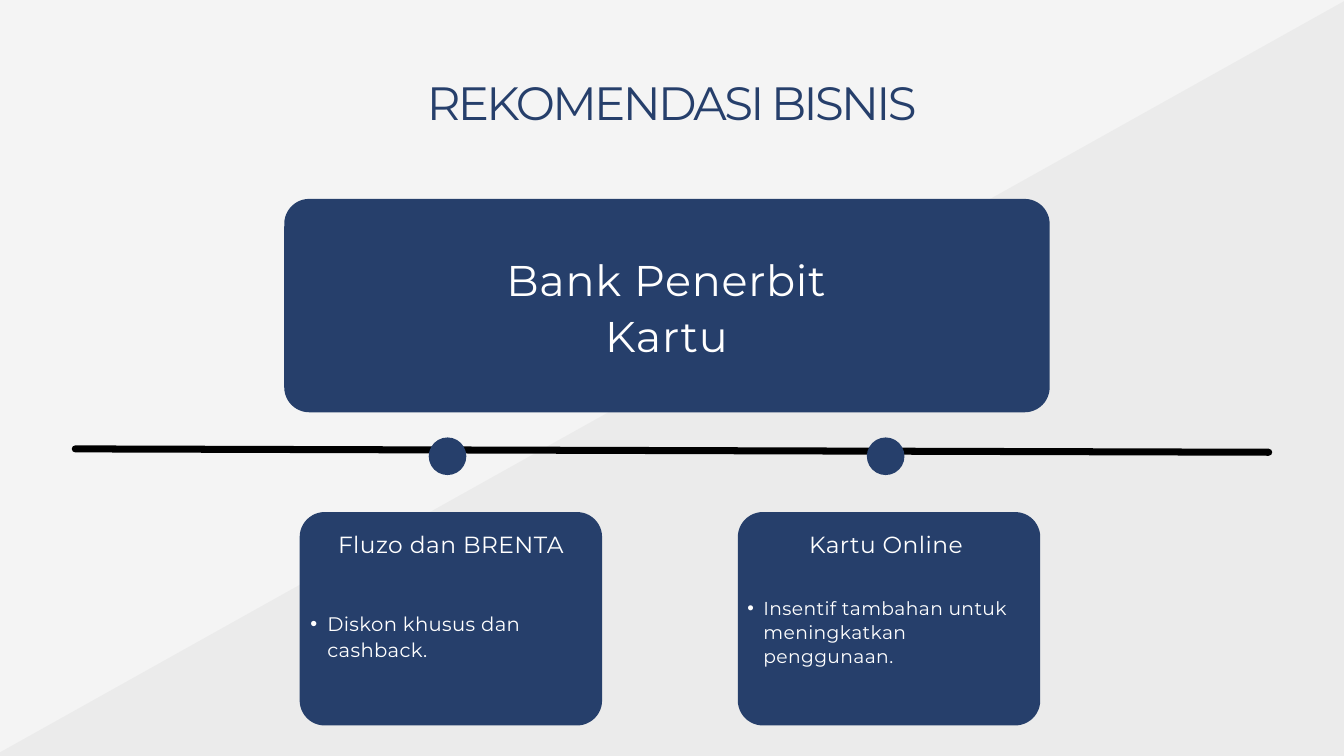
import pptx
import pptx.dml.color
import pptx.enum.shapes
import pptx.enum.text
import pptx.oxml
import pptx.oxml.ns
import pptx.util

NAVY = pptx.dml.color.RGBColor(0x26, 0x3F, 0x6B)
WHITE = pptx.dml.color.RGBColor(0xFF, 0xFF, 0xFF)
BLACK = pptx.dml.color.RGBColor(0x00, 0x00, 0x00)
GREY = pptx.dml.color.RGBColor(0x54, 0x54, 0x54)
PAPER = pptx.dml.color.RGBColor(0xF4, 0xF4, 0xF4)

COLUMNS, ROWS = 80, 45
COMPARISON_LAYOUT = 4
SHAPES = pptx.enum.shapes.MSO_SHAPE
ALIGN = pptx.enum.text.PP_ALIGN
qn = pptx.oxml.ns.qn


class TimelineSlide:
    font = "Montserrat"
    corner = 0.117

    def __init__(self, deck):
        self.column = deck.slide_width / COLUMNS
        self.row = deck.slide_height / ROWS
        self.slide = deck.slides.add_slide(deck.slide_layouts[COMPARISON_LAYOUT])
        self.slide.background.fill.solid()
        self.slide.background.fill.fore_color.rgb = PAPER

    def place(self, left, top, width, height):
        return (round(left * self.column), round(top * self.row),
                round(width * self.column), round(height * self.row))

    def block(self, preset, area, color, rotation=0, opacity=None):
        block = self.slide.shapes.add_shape(preset, *self.place(*area))
        block.shadow.inherit = False
        block.rotation = rotation
        block.fill.solid()
        block.fill.fore_color.rgb = color
        block.line.fill.background()
        if opacity is not None:
            tint = block._element.spPr.find(".//" + qn("a:srgbClr"))
            tint.append(pptx.oxml.parse_xml(
                f'<a:alpha {pptx.oxml.ns.nsdecls("a")} val="{opacity * 1000}"/>'))
        return block

    def card(self, area):
        self.block(SHAPES.ROUNDED_RECTANGLE, area, NAVY).adjustments[0] = self.corner

    def dot(self, left, top, size):
        self.block(SHAPES.OVAL, (left, top, size, size), NAVY)

    def axis(self, start, end, weight):
        axis = self.slide.shapes.add_connector(
            pptx.enum.shapes.MSO_CONNECTOR.STRAIGHT,
            *self.place(*start, *end))
        axis.line.color.rgb = BLACK
        axis.line.width = pptx.util.Pt(weight)
        axis.line._get_or_add_ln().set("cap", "rnd")
        axis._element.spPr.append(pptx.oxml.parse_xml(
            f'<a:effectLst {pptx.oxml.ns.nsdecls("a")}/>'))

    def typeset(self, holder, text, size, leading, tracking, color, indent=None):
        frame = holder.text_frame
        frame.word_wrap = True
        frame.auto_size = pptx.enum.text.MSO_AUTO_SIZE.NONE
        frame.vertical_anchor = pptx.enum.text.MSO_ANCHOR.TOP
        frame.margin_left = frame.margin_right = 0
        frame.margin_top = frame.margin_bottom = 0
        paragraph = frame.paragraphs[0]
        if indent:
            self.bullet(paragraph, *indent)
        paragraph.alignment = ALIGN.LEFT if indent else ALIGN.CENTER
        paragraph.line_spacing = pptx.util.Pt(leading)
        paragraph.space_before = pptx.util.Pt(0)
        run = paragraph.add_run()
        run.text = text
        run.font.name = self.font
        run.font.size = pptx.util.Pt(size)
        run.font.bold = False
        run.font.color.rgb = color
        run._r.get_or_add_rPr().set("spc", str(round(tracking * 100)))

    def bullet(self, paragraph, margin, hanging):
        properties = paragraph._p.get_or_add_pPr()
        properties.set("marL", str(pptx.util.Inches(margin)))
        properties.set("indent", str(-pptx.util.Inches(hanging)))
        properties.append(pptx.oxml.parse_xml(
            f'<a:buChar {pptx.oxml.ns.nsdecls("a")} char="•"/>'))

    def placeholder(self, index, area, *style, **options):
        holder = self.slide.placeholders[index]
        holder.left, holder.top, holder.width, holder.height = self.place(*area)
        self.slide.shapes._spTree.append(holder._element)
        self.typeset(holder, *style, **options)

    def label(self, area, *style):
        self.typeset(self.slide.shapes.add_textbox(*self.place(*area)), *style)


def main():
    deck = pptx.Presentation()
    deck.slide_width = pptx.util.Inches(20)
    deck.slide_height = pptx.util.Inches(11.25)
    page = TimelineSlide(deck)

    page.block(SHAPES.RECTANGLE, (-4.88, 19.04, 112.8, 41.92), GREY,
               rotation=330.8, opacity=5)
    page.axis((4.48, 26.72), (75.52, 26.92), 7.5)
    page.placeholder(0, (9.32, 5, 61.32, 2.8),
                     "REKOMENDASI BISNIS", 50, 49, -2.9, NAVY)
    page.card((16.92, 11.84, 45.56, 12.7))
    page.label((26.64, 14.84, 26.08, 6.52),
               "Bank Penerbit Kartu", 46, 59.8, 0.9, WHITE)

    recommendations = [
        ("Fluzo dan BRENTA", (1.92, 14.16),
         "Diskon khusus dan cashback.", 36.32, 21, 27.3, (0.5, 0.25)),
        ("Kartu Online", (1.08, 15.48),
         "Insentif tambahan untuk meningkatkan penggunaan.", 35.4, 20, 26, (0.47, 0.24)),
    ]
    first_card, card_step = 17.84, 26.08
    for number, (heading, (inset, width), advice, top, size, leading, indent) in enumerate(
            recommendations):
        left = first_card + number * card_step
        page.dot(left + 7.68, 26.04, 2.24)
        page.card((left, 30.48, 18, 12.7))
        page.placeholder(1 + 2 * number, (left + inset, 31.44, width, 1.72),
                         heading, 25, 32.5, 0.5, WHITE)
        page.placeholder(2 + 2 * number, (left - 0.36, top, 18.36, 4.24),
                         advice, size, leading, 0.4, WHITE, indent=indent)

    deck.save("out.pptx")


if __name__ == "__main__":
    main()
